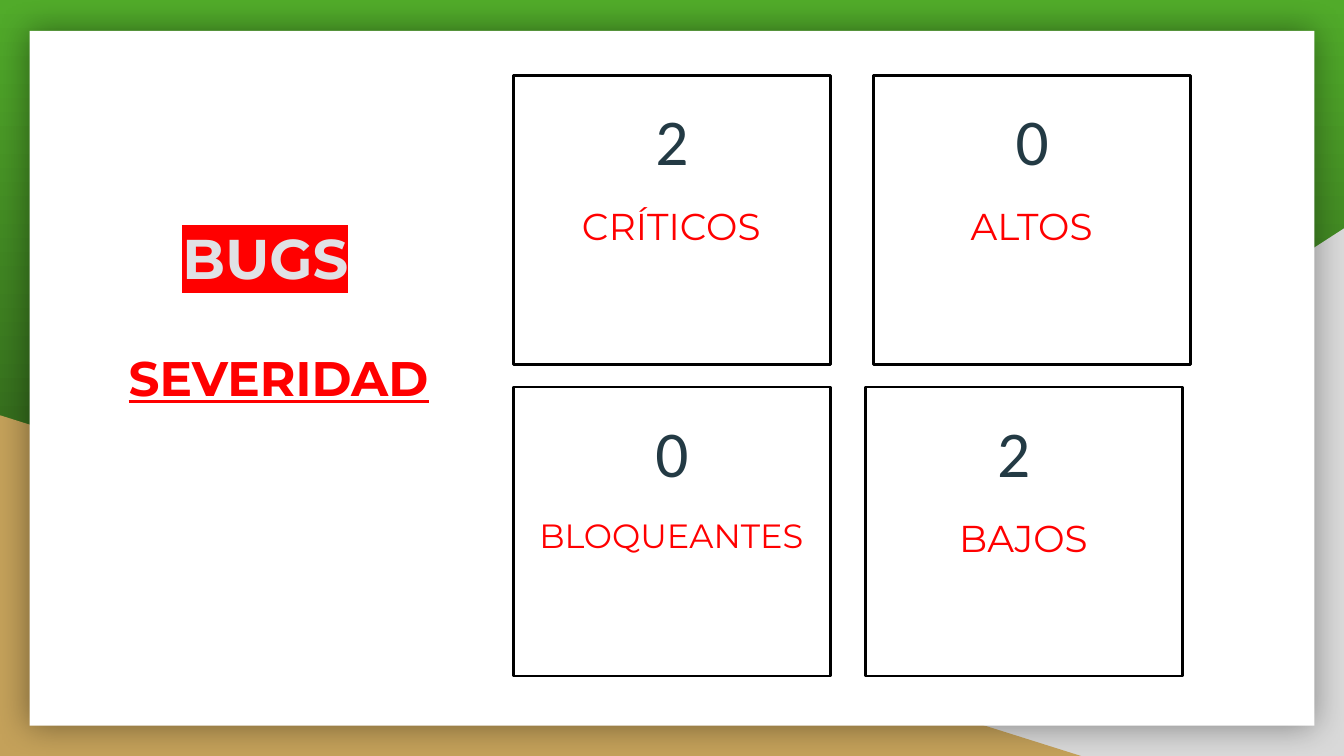
from lxml import etree
from pptx import Presentation
from pptx.dml.color import RGBColor
from pptx.enum.shapes import MSO_SHAPE
from pptx.enum.text import MSO_ANCHOR, MSO_AUTO_SIZE, PP_ALIGN
from pptx.oxml.ns import qn
from pptx.util import Inches, Pt

RECTANGLE, TRIANGLE = MSO_SHAPE.RECTANGLE, MSO_SHAPE.RIGHT_TRIANGLE
TOP = MSO_ANCHOR.TOP
LEFT, CENTER = PP_ALIGN.LEFT, PP_ALIGN.CENTER

# Widescreen page, 16 to 9
WIDTH = 10
HEIGHT = WIDTH * 9 / 16
HEADING, FIGURE = "Montserrat", "Calibri"
RED, SLATE = "FF0000", "233A44"
INSET = 0.1

# Card grid
CARD_W, CARD_H = 2.36, 2.15
GRID_X, GRID_Y = 3.82, 0.56
COLUMN_STEP, ROW_STEP = 2.68, 2.32
LABEL_W, LABEL_H = 2.25, 0.58
LABEL_DX, LABEL_DY = 0.05, 0.85

# Column, row, count, label, label size, sideways shift, indent of the count
CARDS = [
    (0, 0, "2", "CRÍTICOS", 20, 0, None),
    (1, 0, "0", "ALTOS", 20, 0, None),
    (0, 1, "0", "BLOQUEANTES", 18, 0, None),
    (1, 1, "2", "BAJOS", 20, -0.06, 0.88),
]


def rgb(value):
    return RGBColor.from_string(value)


def add_panel(page, kind, place, fill=None, line=None, flip=False):
    panel = page.shapes.add_shape(kind, *map(Inches, place))
    panel.shadow.inherit = False
    if fill:
        panel.fill.solid()
        panel.fill.fore_color.rgb = rgb(fill)
    else:
        panel.fill.background()
    if line:
        panel.line.color.rgb = rgb(line)
        panel.line.width = Pt(1.5)
    else:
        panel.line.fill.background()
    if flip:
        panel.element.spPr.find(qn("a:xfrm")).set("flipH", "1")
    return panel


def add_glow(panel, color, blur, opacity):
    effects = panel.element.spPr.find(qn("a:effectLst"))
    shadow = etree.SubElement(effects, qn("a:outerShdw"), blurRad=str(Pt(blur)),
                              dist="0", dir="0", algn="ctr", rotWithShape="0")
    tint = etree.SubElement(shadow, qn("a:srgbClr"), val=color)
    etree.SubElement(tint, qn("a:alpha"), val=str(opacity * 1000))


def write(box, text, size, font, color, align=CENTER,
          bold=False, underline=False, indent=0):
    frame = box.text_frame
    frame.word_wrap = True
    frame.auto_size = MSO_AUTO_SIZE.NONE
    frame.vertical_anchor = TOP
    frame.margin_right = frame.margin_top = frame.margin_bottom = Inches(INSET)
    frame.margin_left = Inches(INSET + indent)
    para = frame.paragraphs[0]
    para.alignment = align
    span = para.add_run()
    span.text = text
    span.font.size = Pt(size)
    span.font.name = font
    span.font.bold = bold
    span.font.underline = underline
    span.font.color.rgb = rgb(color)
    return para, span


def add_text(page, place, *args, **style):
    box = page.shapes.add_textbox(*map(Inches, place))
    return write(box, *args, **style)


def highlight(span, color):
    fill = span.font._element.find(qn("a:solidFill"))
    mark = etree.Element(qn("a:highlight"))
    etree.SubElement(mark, qn("a:srgbClr"), val=color)
    fill.addnext(mark)


def add_backdrop(page):
    fill = page.background.fill
    fill.gradient()
    fill.gradient_angle = 270
    for stop, color in zip(fill.gradient_stops, ("51AB2A", "203E13")):
        stop.color.rgb = rgb(color)
    add_panel(page, TRIANGLE, (3.92, 1.7, 6.08, 3.93), "D9D9D9", flip=True)
    add_panel(page, TRIANGLE, (0, 3.09, 8.06, 2.54), "C4A15A")
    sheet = add_panel(page, RECTANGLE, (0.22, 0.23, 9.56, 5.17), "FFFFFF")
    add_glow(sheet, "000000", 18, 40)


def set_title(page, place, text):
    title = page.shapes.title
    title.left, title.top, title.width, title.height = map(Inches, place)
    # Bring the title in front of the backdrop
    title.element.getparent().append(title.element)
    para, span = write(title, text, 30, HEADING, "E0E1E5", bold=True)
    highlight(span, RED)


def add_card(page, column, row, count, label, size, shift, indent):
    x = GRID_X + column * COLUMN_STEP + shift
    y = GRID_Y + row * ROW_STEP
    card = add_panel(page, RECTANGLE, (x, y, CARD_W, CARD_H), line="000000")
    para, span = write(card, count, 35, FIGURE, SLATE,
                       align=LEFT if indent else CENTER, indent=indent or 0)
    para.line_spacing = 1.15
    para.space_after = Pt(12)
    add_text(page, (x + LABEL_DX, y + LABEL_DY, LABEL_W, LABEL_H),
             label, size, HEADING, RED)


def main():
    deck = Presentation()
    deck.slide_width, deck.slide_height = Inches(WIDTH), Inches(HEIGHT)
    page = deck.slides.add_slide(deck.slide_layouts[5])

    add_backdrop(page)
    set_title(page, (1.25, 1.56, 1.45, 0.72), "BUGS")
    for card in CARDS:
        add_card(page, *card)
    add_text(page, (0.86, 2.49, 2.63, 0.64), "SEVERIDAD", 26, HEADING, RED,
             align=LEFT, bold=True, underline=True)

    deck.save("out.pptx")


if __name__ == "__main__":
    main()
